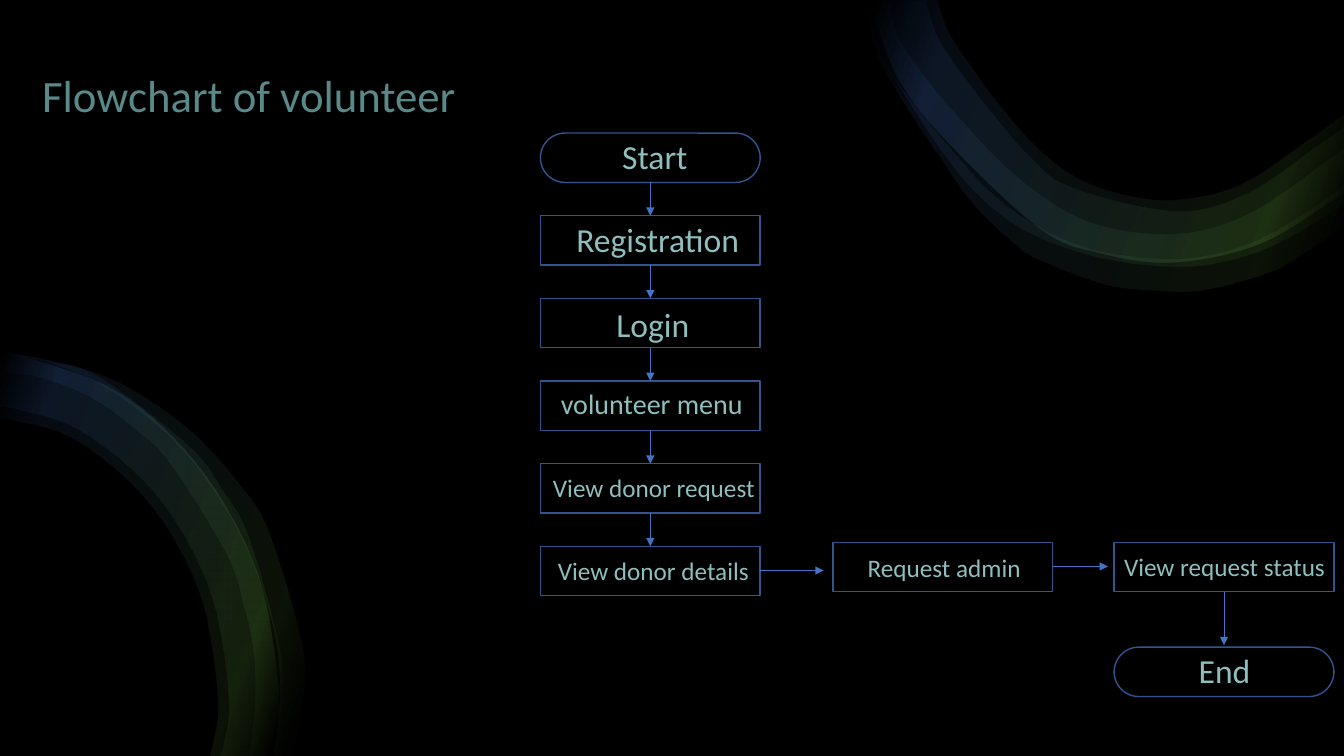
from lxml import etree
from pptx import Presentation
from pptx import util as u
from pptx.dml import color
from pptx.enum import shapes, text
from pptx.oxml import ns

COLORS = {"black": "000000", "green": "70AD47", "blue": "4472C4",
          "outline": "325491", "label": "8EBEBE", "title": "598989"}
FONT = "Calibri"
SLIDE_W, SLIDE_H = 13.33, 7.5

# Flow layout: main column, then a branch to the right
NODE_W, NODE_H = 2.18, 0.49
COLUMN_X, COLUMN_Y, STEP = 5.36, 1.32, 0.82
BRANCH_Y, ADMIN_X, STATUS_X, END_Y = 5.38, 8.26, 11.05, 6.42

# Label, font size, alignment, then label box as offset from its node and size
COLUMN = [
    ("Start", 24, "CENTER", (0.24, -0.02, 1.79, 0.5)),
    ("Registration", 24, "RIGHT", (0.14, -0.02, 1.93, 0.5)),
    ("Login", 24, "CENTER", (0.22, 0.01, 1.79, 0.5)),
    ("volunteer menu", 20, "CENTER", (-0.13, 0.01, 2.47, 0.44)),
    ("View donor request", 18, "CENTER", (-0.08, 0.04, 2.41, 0.4)),
    ("View donor details", 18, "CENTER", (0.03, 0.04, 2.18, 0.4)),
]
BRANCH = [
    (ADMIN_X, BRANCH_Y, "Request admin", 18, "CENTER", (0.14, 0.05, 1.93, 0.4)),
    (STATUS_X, BRANCH_Y, "View request status", 18, "LEFT", (0, 0.04, 2.28, 0.4)),
    (STATUS_X, END_Y, "End", 24, "CENTER", (0.2, -0.02, 1.79, 0.5)),
]

# Ribbons: each is a pair of edges, smoothed through these points
SWOOP_LOWER = [(13.33, 1.9), (13.19, 2), (12.48, 2.42), (11.64, 2.6), (10.91, 2.51),
               (10.3, 2.26), (9.34, 1.35), (8.89, 0.75), (8.65, 0.08), (8.65, 0)]
SWOOP = [
    ([(8.64, 0), (8.66, 0.27), (8.82, 0.67), (9.06, 1.02), (9.43, 1.47), (9.81, 1.89),
      (10.25, 2.22), (10.76, 2.45), (11.3, 2.55), (11.86, 2.55), (12.39, 2.41),
      (12.88, 2.15), (13.33, 1.83)],
     [(13.33, 2.23), (12.82, 2.58), (12.53, 2.72), (11.91, 2.88), (11.43, 2.88),
      (10.96, 2.82), (10.36, 2.6), (10.09, 2.44), (9.65, 2.02), (9.31, 1.54),
      (8.99, 1.06), (8.71, 0.56), (8.61, 0.14), (8.6, 0)]),
    ([(8.83, 0), (8.85, 0.2), (8.94, 0.43), (9.24, 0.85), (9.6, 1.27), (9.96, 1.64),
      (10.35, 1.96), (10.8, 2.2), (11.31, 2.31), (11.83, 2.3), (12.31, 2.15),
      (12.75, 1.89), (13.33, 1.46)],
     [(13.33, 2.01), (13, 2.23), (12.47, 2.5), (11.87, 2.64), (11.27, 2.62),
      (10.69, 2.5), (10.13, 2.27), (9.66, 1.9), (9.31, 1.46), (9.01, 1.01),
      (8.8, 0.64), (8.7, 0.38), (8.65, 0)]),
    ([(9.2, 0), (9.2, 0.08), (9.32, 0.41), (9.59, 0.8), (9.79, 1.06), (10.18, 1.52),
      (10.61, 1.85), (11.64, 2.09), (12.35, 1.92), (13.05, 1.45), (13.33, 1.25)],
     SWOOP_LOWER),
    ([(9.31, 0), (9.31, 0.06), (9.43, 0.36), (9.68, 0.73), (9.88, 1), (10.24, 1.42),
      (10.64, 1.74), (11.11, 1.92), (11.64, 1.98), (12.29, 1.83), (12.99, 1.37),
      (13.33, 1.12)],
     SWOOP_LOWER),
]
ARC_OUTER = [(0, 3.52), (0.22, 3.53), (1.22, 3.92), (2.03, 4.7), (2.57, 5.73),
             (2.77, 6.89), (2.72, 7.44), (2.7, 7.5)]
ARC = [
    (ARC_OUTER,
     [(2.08, 7.5), (2.12, 7.33), (2.16, 6.89), (1.98, 5.88), (1.48, 4.99),
      (0.76, 4.37), (0.14, 4.17), (0, 4.16)]),
    (ARC_OUTER,
     [(2.18, 7.5), (2.22, 7.36), (2.27, 6.89), (2.08, 5.85), (1.56, 4.92),
      (0.81, 4.28), (0.16, 4.06), (0, 4.05)]),
    ([(0, 3.52), (0.21, 3.53), (0.48, 3.58), (0.99, 3.75), (1.86, 4.42), (2.2, 4.86),
      (2.47, 5.35), (2.77, 6.45), (2.79, 7.02), (2.76, 7.31), (2.72, 7.5)],
     [(2.46, 7.5), (2.52, 7.01), (2.51, 6.48), (2.4, 5.97), (2.23, 5.48), (1.68, 4.6),
      (1.31, 4.24), (0.9, 3.95), (0.43, 3.76), (0, 3.69)]),
    ([(0, 3.5), (0.15, 3.51), (0.96, 3.71), (1.47, 3.97), (1.93, 4.32), (2.33, 4.76),
      (2.65, 5.26), (2.99, 6.42), (2.98, 7.03), (2.89, 7.5)],
     [(2.7, 7.5), (2.76, 7.01), (2.74, 6.45), (2.61, 5.91), (2.41, 5.39), (2.14, 4.91),
      (1.8, 4.47), (1.39, 4.09), (0.93, 3.79), (0.42, 3.59), (0, 3.53)]),
]
RIBBON_STOPS = [(2, "black"), (16, "green"), (85, "blue"), (100, "black")]


def rgb(name):
    return color.RGBColor.from_string(COLORS[name])


def inches(*lengths):
    return [u.Inches(length) for length in lengths]


def bend_edges(ribbon, edges):
    """Turn the straight segments within each edge into smooth curves."""
    segments = ribbon.element.spPr.findall(".//" + ns.qn("a:lnTo"))
    first = 0
    for edge in edges:
        padded = [edge[0], *edge, edge[-1]]
        quads = zip(padded, padded[1:], padded[2:], padded[3:])
        for segment, (a, b, c, d) in zip(segments[first:], quads):
            curve = etree.Element(ns.qn("a:cubicBezTo"))
            leaving = [q + (r - p) / 6 for p, q, r in zip(a, b, c)]
            arriving = [q - (r - p) / 6 for p, q, r in zip(b, c, d)]
            for x, y in (leaving, arriving, c):
                etree.SubElement(curve, ns.qn("a:pt"),
                                 x=str(u.Inches(x) - ribbon.left),
                                 y=str(u.Inches(y) - ribbon.top))
            segment.getparent().replace(segment, curve)
        first += len(edge)


def add_ribbon(page, edges):
    outline = [inches(*point) for edge in edges for point in edge]
    builder = page.shapes.build_freeform(*outline[0])
    builder.add_line_segments(outline[1:], close=True)
    ribbon = builder.convert_to_shape()
    bend_edges(ribbon, edges)
    ribbon.shadow.inherit = False
    ribbon.line.fill.background()
    ribbon.fill.gradient()
    ribbon.fill.gradient_angle = 160
    stops = ribbon.element.spPr.find(".//" + ns.qn("a:gsLst"))
    for stop in list(stops):
        stops.remove(stop)
    for position, name in RIBBON_STOPS:
        stop = etree.SubElement(stops, ns.qn("a:gs"), pos=str(position * 1000))
        tint = etree.SubElement(stop, ns.qn("a:srgbClr"), val=COLORS[name])
        etree.SubElement(tint, ns.qn("a:alpha"), val="10000")


def add_text(page, box, words, size, tone, align="LEFT"):
    frame = page.shapes.add_textbox(*inches(*box)).text_frame
    frame.word_wrap = True
    para = frame.paragraphs[0]
    para.alignment = getattr(text.PP_ALIGN, align)
    span = para.add_run()
    span.text = words
    for name, value in {"name": FONT, "size": u.Pt(size)}.items():
        setattr(span.font, name, value)
    span.font.color.rgb = rgb(tone)


def add_node(page, left, top, words, size, align, label):
    rounded = words in ("Start", "End")
    kind = shapes.MSO_SHAPE.ROUNDED_RECTANGLE if rounded else shapes.MSO_SHAPE.RECTANGLE
    node = page.shapes.add_shape(kind, *inches(left, top, NODE_W, NODE_H))
    if rounded:
        node.adjustments[0] = 0.5
    node.shadow.inherit = False
    node.fill.background()
    node.line.color.rgb = rgb("outline")
    node.line.width = u.Pt(1)
    dx, dy, width, height = label
    add_text(page, (left + dx, top + dy, width, height), words, size, "label", align)


def add_arrow(page, *ends):
    arrow = page.shapes.add_connector(shapes.MSO_CONNECTOR.STRAIGHT, *inches(*ends))
    arrow.line.color.rgb = rgb("blue")
    arrow.line.width = u.Pt(0.5)
    line = arrow.element.spPr.find(ns.qn("a:ln"))
    etree.SubElement(line, ns.qn("a:tailEnd"), type="triangle")
    etree.SubElement(arrow.element.spPr, ns.qn("a:effectLst"))


def add_backdrop(page):
    panel = page.shapes.add_shape(shapes.MSO_SHAPE.RECTANGLE,
                                  *inches(0, 0, SLIDE_W, SLIDE_H))
    panel.shadow.inherit = False
    panel.line.fill.background()
    for fill in (page.background.fill, panel.fill):
        fill.solid()
        fill.fore_color.rgb = rgb("black")
    for edges in SWOOP + ARC:
        add_ribbon(page, edges)


def add_column(page, left, top):
    middle = left + NODE_W / 2
    for row, (words, size, align, label) in enumerate(COLUMN):
        y = top + row * STEP
        add_node(page, left, y, words, size, align, label)
        if row:
            add_arrow(page, middle, y - STEP + NODE_H, middle, y)


def add_branch(page):
    for node in BRANCH:
        add_node(page, *node)
    middle = STATUS_X + NODE_W / 2
    add_arrow(page, COLUMN_X + NODE_W, 5.66, 8.17, 5.66)
    add_arrow(page, ADMIN_X + NODE_W, 5.62, 10.99, 5.62)
    add_arrow(page, middle, BRANCH_Y + NODE_H, middle, 6.4)


def main():
    deck = Presentation()
    deck.slide_width, deck.slide_height = inches(SLIDE_W, SLIDE_H)
    page = deck.slides.add_slide(deck.slide_layouts[6])
    add_backdrop(page)
    add_text(page, (0.32, 0.62, 4.73, 0.64), "Flowchart of volunteer", 32, "title")
    add_column(page, COLUMN_X, COLUMN_Y)
    add_branch(page)
    deck.save("out.pptx")


if __name__ == "__main__":
    main()
